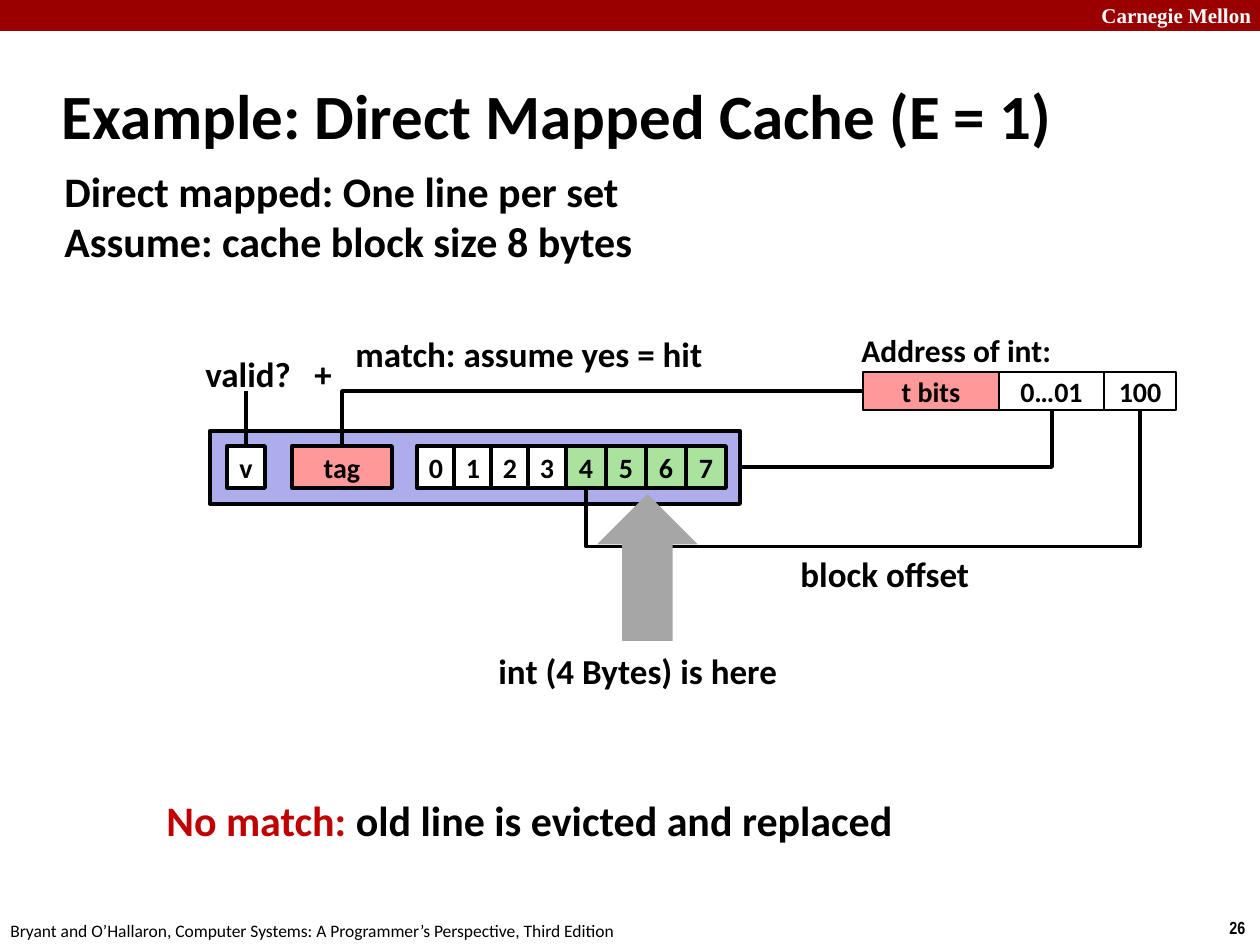
from lxml import etree
from pptx import Presentation
from pptx.dml.color import RGBColor
from pptx.enum.shapes import MSO_CONNECTOR as CONN, MSO_SHAPE as SHAPE
from pptx.enum.text import MSO_ANCHOR as ANCHOR, PP_ALIGN as ALIGN
from pptx.oxml.ns import qn
from pptx.util import Pt

PX_PER_INCH = 126
BLACK = RGBColor(0x00, 0x00, 0x00)
WHITE = RGBColor(0xFF, 0xFF, 0xFF)
MAROON = RGBColor(0x99, 0x00, 0x00)
RED = RGBColor(0xC0, 0x00, 0x00)
PINK = RGBColor(0xFF, 0x99, 0x99)
LILAC = RGBColor(0xAD, 0xAD, 0xEB)
GREEN = RGBColor(0xA9, 0xE3, 0x9D)
GRAY = RGBColor(0xA6, 0xA6, 0xA6)


def emu(px):
    return round(px * 914400 / PX_PER_INCH)


def write(tf, text, size=16, color=BLACK, bold=True, font="Calibri",
          align=ALIGN.LEFT, lead=None, tab=None):
    """Fill a text frame; lead is an optional (text, colour) run put first."""
    for i, line in enumerate(text.split("\n")):
        p = tf.paragraphs[0] if i == 0 else tf.add_paragraph()
        p.alignment = align
        if tab:
            tabs = etree.SubElement(p._p.get_or_add_pPr(), qn("a:tabLst"))
            etree.SubElement(tabs, qn("a:tab"), pos=str(emu(tab)), algn="l")
        runs = [lead] if lead and i == 0 else []
        for words, tint in runs + [(line, color)]:
            r = p.add_run()
            r.text = words
            r.font.name, r.font.size, r.font.bold = font, Pt(size), bold
            r.font.color.rgb = tint


class Deck:
    def __init__(self, width, height):
        self.prs = Presentation()
        self.prs.slide_width, self.prs.slide_height = emu(width), emu(height)
        self.slide = self.prs.slides.add_slide(self.prs.slide_layouts[6])

    def label(self, x, y, w, h, text, wrap=False, anchor=ANCHOR.TOP, **style):
        tf = self.slide.shapes.add_textbox(*map(emu, (x, y, w, h))).text_frame
        tf.word_wrap, tf.vertical_anchor = wrap, anchor
        write(tf, text, **style)

    def shape(self, x, y, w, h, fill, line=None, text=None, kind=SHAPE.RECTANGLE):
        s = self.slide.shapes.add_shape(kind, *map(emu, (x, y, w, h)))
        s.shadow.inherit = False
        s.fill.solid()
        s.fill.fore_color.rgb = fill
        if line:
            s.line.color.rgb, s.line.width = BLACK, Pt(line)
        else:
            s.line.fill.background()
        if text:
            s.text_frame.word_wrap = False
            s.text_frame.vertical_anchor = ANCHOR.MIDDLE
            write(s.text_frame, text, align=ALIGN.CENTER)
        return s

    def connector(self, x1, y1, x2, y2, kind=CONN.STRAIGHT):
        c = self.slide.shapes.add_connector(kind, *map(emu, (x1, y1, x2, y2)))
        c.line.color.rgb, c.line.width = BLACK, Pt(2)
        etree.SubElement(c._element.spPr, qn("a:effectLst"))
        return c

    def elbow(self, x1, y1, x2, y2, down_first=False, bend=None):
        """One corner, or two when bend gives the turn as a share of the run."""
        if down_first:
            cx, cy = (x1 + x2) / 2, (y1 + y2) / 2
            dx, dy = (x1 - x2) / 2, (y2 - y1) / 2
            x1, y1, x2, y2 = cx - dy, cy - dx, cx + dy, cy + dx
        c = self.connector(x1, y1, x2, y2, CONN.ELBOW)
        spPr = c._element.spPr
        if down_first:
            spPr.find(qn("a:xfrm")).set("rot", "5400000")
        geom = spPr.find(qn("a:prstGeom"))
        if bend is None:
            geom.set("prst", "bentConnector2")
        else:
            etree.SubElement(geom.find(qn("a:avLst")), qn("a:gd"), name="adj1",
                             fmla=f"val {round(bend * 100000)}")


def main():
    deck = Deck(1260, 945)

    deck.shape(0, 0, 1260, 31, MAROON)
    deck.label(1089, -4, 180, 38, "Carnegie Mellon", wrap=True, size=12,
               font="Times New Roman", color=WHITE)
    deck.label(1217, 911, 43, 34, "26", size=10, font="Arial Narrow")
    deck.label(-2, 914, 640, 34,
               "Bryant and O’Hallaron, Computer Systems: A Programmer’s "
               "Perspective, Third Edition", size=10, bold=False)
    deck.label(49, 62, 1046, 105, "Example: Direct Mapped Cache (E = 1)",
               wrap=True, anchor=ANCHOR.MIDDLE, size=36)
    deck.label(52, 159, 600, 115,
               "Direct mapped: One line per set\nAssume: cache block size 8 bytes",
               size=24)

    # Address fields
    x = 863
    for text, w, fill in (("t bits", 136, PINK), ("0…01", 105, WHITE),
                          ("100", 72, WHITE)):
        deck.shape(x, 372, w, 38, fill, 1, text)
        x += w
    deck.label(849, 325, 217, 50, "Address of int:", size=18)

    # Cache line
    deck.shape(210, 431, 530, 73, LILAC, 2.25)
    valid = deck.shape(227, 446, 38, 42, WHITE, 2.25, "v")
    deck.shape(292, 446, 100, 42, PINK, 2.25, "tag")
    for i in range(8):
        in_int = i >= 4
        x, w = (566 + 40 * (i - 4), 40) if in_int else (417 + 37 * i, 38)
        deck.shape(x, 446, w, 42, GREEN if in_int else WHITE, 2.25, str(i))

    deck.elbow(1052, 410, 740, 467, down_first=True)
    deck.elbow(863, 391, 342, 446)
    deck.connector(246, 391, 246, 446).end_connect(valid, 0)
    deck.elbow(1140, 410, 586, 488, down_first=True, bend=1.75)
    deck.shape(597, 494, 101, 147, GRAY, kind=SHAPE.UP_ARROW)

    deck.label(343, 326, 375, 55, "match: assume yes = hit", size=20)
    deck.label(193, 346, 154, 55, "valid?\t+", size=20, tab=109)
    deck.label(486, 643, 306, 55, "int (4 Bytes) is here", size=20)
    deck.label(788, 546, 197, 55, "block offset", size=20)
    deck.label(154, 788, 760, 64, "old line is evicted and replaced", size=24,
               lead=("No match: ", RED))

    deck.prs.save("out.pptx")


if __name__ == "__main__":
    main()
